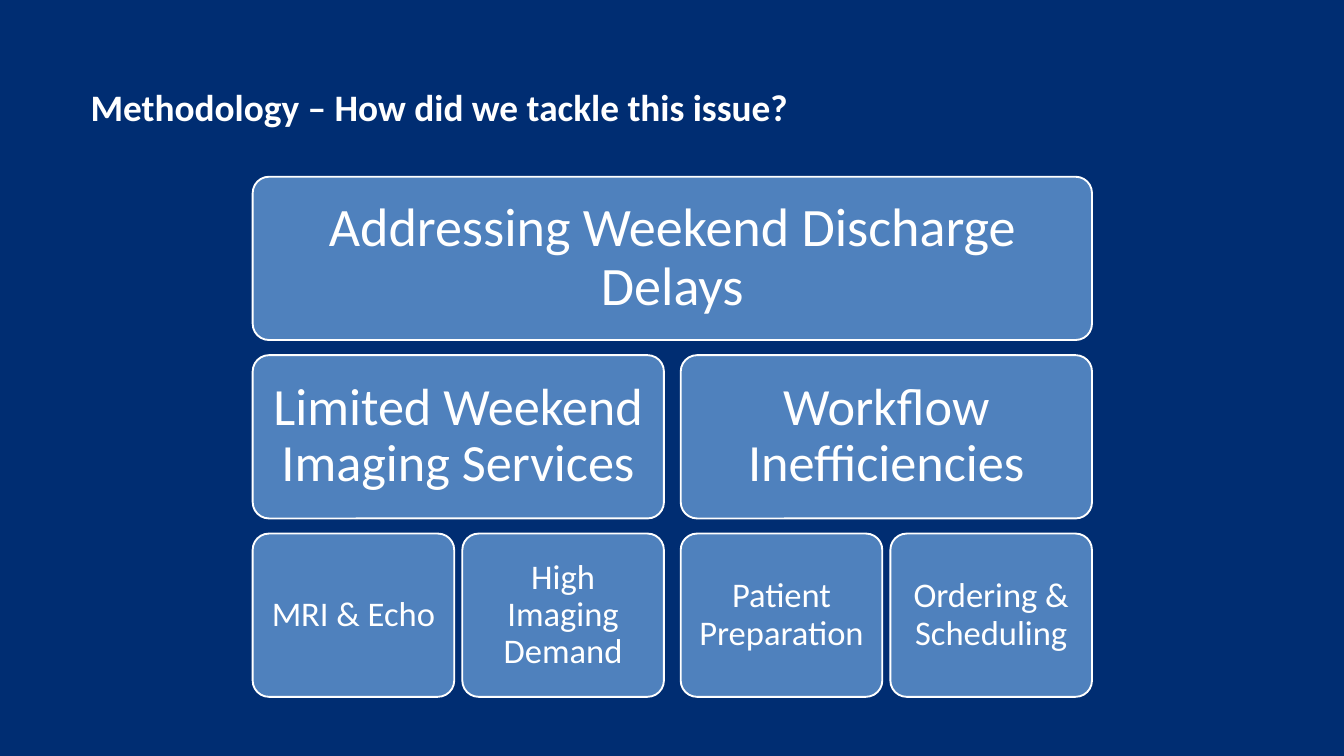
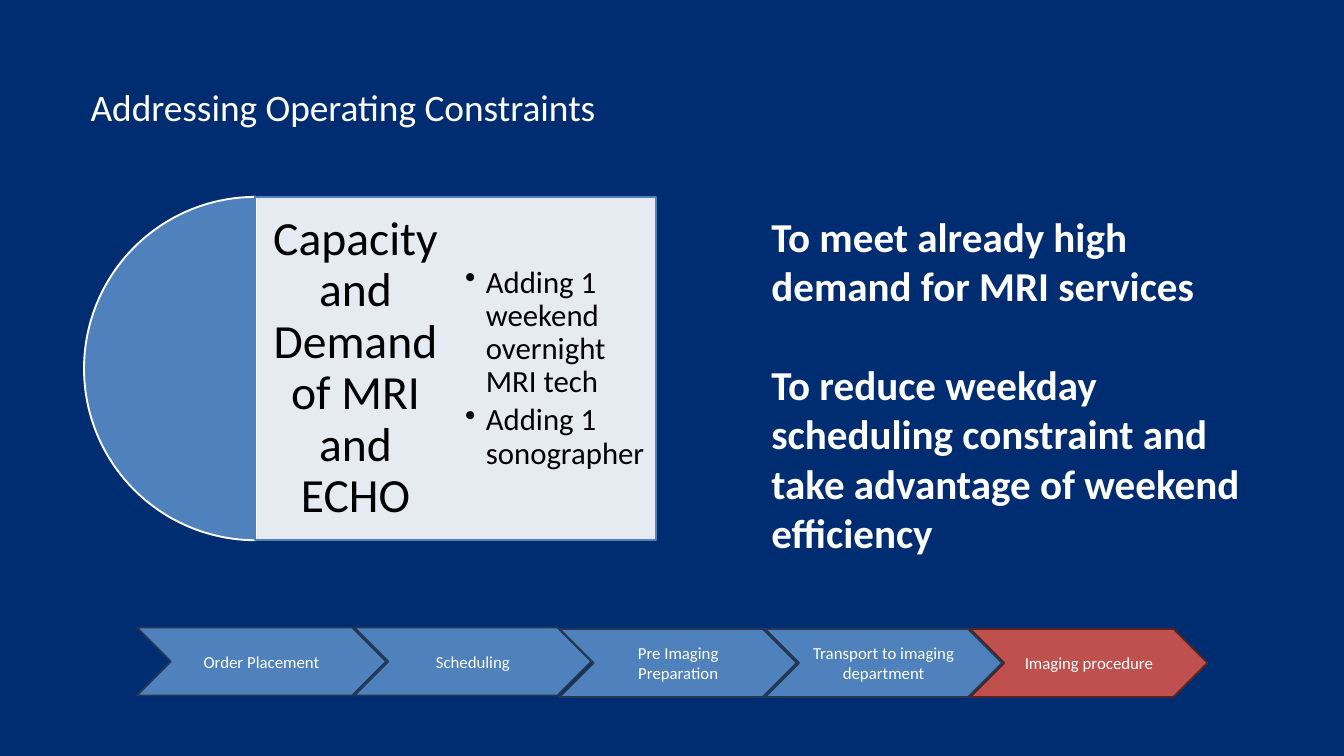
from lxml.etree import SubElement
from pptx import Presentation
from pptx.dml.color import RGBColor
from pptx.enum.shapes import MSO_SHAPE as SHAPE
from pptx.enum.text import MSO_ANCHOR as ANCHOR, PP_ALIGN as ALIGN
from pptx.oxml.ns import qn
from pptx.util import Inches, Pt

NAVY = RGBColor(0x00, 0x2D, 0x72)
BLUE = RGBColor(0x4F, 0x81, 0xBD)
DARK_BLUE = RGBColor(0x23, 0x39, 0x53)
RED = RGBColor(0xC0, 0x50, 0x4D)
DARK_RED = RGBColor(0x54, 0x23, 0x22)
WHITE = RGBColor(0xFF, 0xFF, 0xFF)
BLACK = RGBColor(0x00, 0x00, 0x00)

presentation = Presentation()
presentation.slide_width = Inches(20)
presentation.slide_height = Inches(11.25)

# The grid: 100 columns by 100 rows on each slide
COLUMN = presentation.slide_width / 100
ROW = presentation.slide_height / 100


def add_block(slide, kind, column, row, columns, rows, fill=None, line=None):
    """Place a preset shape, or a text box when kind is None, on the grid."""
    box = [int(column * COLUMN), int(row * ROW), int(columns * COLUMN), int(rows * ROW)]
    if kind is None:
        return slide.shapes.add_textbox(*box)
    shape = slide.shapes.add_shape(kind, *box)
    shape.shadow.inherit = False
    shape.fill.solid()
    shape.fill.fore_color.rgb = fill
    shape.line.color.rgb = line
    shape.line.width = Pt(2)
    return shape


def write(shape, texts, size, color=WHITE, bold=False, inset=None, anchor=ANCHOR.MIDDLE, **paragraph_format):
    """Fill a shape with one paragraph per text and return the paragraphs."""
    frame = shape.text_frame
    frame.word_wrap = True
    frame.vertical_anchor = anchor
    if inset is not None:
        for side in ("left", "top", "right", "bottom"):
            setattr(frame, f"margin_{side}", Inches(inset))
    for number, text in enumerate(texts):
        paragraph = frame.add_paragraph() if number else frame.paragraphs[0]
        for name, value in paragraph_format.items():
            setattr(paragraph, name, value)
        run = paragraph.add_run()
        run.text = text
        for name, value in {"name": "Calibri", "size": Pt(size), "bold": bold}.items():
            setattr(run.font, name, value)
        run.font.color.rgb = color
    return frame.paragraphs


# Background and title shared by both slides
slides = []
for title, bold in [
    ("Methodology – How did we tackle this issue?", True),
    ("Addressing Operating Constraints", False),
]:
    slide = presentation.slides.add_slide(presentation.slide_layouts[6])
    slide.background.fill.solid()
    slide.background.fill.fore_color.rgb = NAVY
    title_box = add_block(slide, None, 6.25, 10.76, 89.6, 6.84)
    write(title_box, [title], 40, bold=bold, anchor=ANCHOR.TOP)
    slides.append(slide)
methodology, constraints = slides

# Slide 1: issue tree, each level split evenly below the one above
TREE_LEFT, TREE_TOP = 18.8, 23.38
LEAF, LEAF_GAP, BRANCH_GAP = 15, 0.6, 1.25
LEVEL_HEIGHT, LEVEL_PITCH = 21.6, 23.6
branch = 2 * LEAF + LEAF_GAP
trunk = 2 * branch + BRANCH_GAP
branch_lefts = [TREE_LEFT, TREE_LEFT + branch + BRANCH_GAP]
leaf_lefts = [left + offset for left in branch_lefts for offset in (0, LEAF + LEAF_GAP)]
levels = [
    (["Addressing Weekend Discharge Delays"], [TREE_LEFT], trunk, 58, 0.24),
    (["Limited Weekend Imaging Services", "Workflow Inefficiencies"], branch_lefts, branch, 56, 0.23),
    (["MRI & Echo", "High Imaging Demand", "Patient Preparation", "Ordering & Scheduling"],
     leaf_lefts, LEAF, 37, 0.15),
]
for level, (labels, lefts, width, size, inset) in enumerate(levels):
    for label, left in zip(labels, lefts):
        card = add_block(methodology, SHAPE.ROUNDED_RECTANGLE, left, TREE_TOP + level * LEVEL_PITCH,
                         width, LEVEL_HEIGHT, BLUE, WHITE)
        card.adjustments[0] = 0.1
        write(card, [label], size, inset=inset, alignment=ALIGN.CENTER, line_spacing=0.9)

# Slide 2: process chevrons, drawn from the last step back to the first
STEP_WIDTH, STEP_PITCH, STEPS_RIGHT = 17.65, 15.28, 89.85
steps = ["Order Placement", "Scheduling", "Pre Imaging Preparation",
         "Transport to imaging department", "Imaging procedure"]
for number, step in reversed(list(enumerate(steps))):
    is_last = number == len(steps) - 1
    width = STEP_WIDTH if number else 18.55
    right = STEPS_RIGHT - (len(steps) - 1 - number) * STEP_PITCH
    chevron = add_block(constraints, SHAPE.CHEVRON, right - width, 83 if number < 2 else 83.2, width, 9,
                        RED if is_last else BLUE, DARK_RED if is_last else DARK_BLUE)
    write(chevron, [step], 18, alignment=ALIGN.CENTER)

# Reasons on the right
reasons_box = add_block(constraints, None, 56.9, 27.56, 36.75, 46.93)
reasons = write(reasons_box, [
    "To meet already high demand for MRI services",
    "To reduce weekday scheduling constraint and take advantage of weekend efficiency",
], 44, bold=True, anchor=ANCHOR.TOP)
reasons[1].space_before = Pt(53)

# Half disc and translucent panel
PANEL_LEFT, PANEL_TOP, PANEL_HEIGHT, HALF_PANEL = 19, 26.04, 45.42, 14.9
half_disc = add_block(constraints, SHAPE.PIE, 6.25, PANEL_TOP, 25.55, PANEL_HEIGHT, BLUE, WHITE)
half_disc.adjustments[0], half_disc.adjustments[1] = 54, 162
panel = add_block(constraints, SHAPE.RECTANGLE, PANEL_LEFT, PANEL_TOP, 2 * HALF_PANEL, PANEL_HEIGHT, WHITE, BLUE)
panel_color = panel._element.spPr.find(qn("a:solidFill"))[0]
SubElement(panel_color, qn("a:alpha"), val="90000")

# Panel heading and actions
heading_box = add_block(constraints, None, PANEL_LEFT, PANEL_TOP, HALF_PANEL, PANEL_HEIGHT)
write(heading_box, ["Capacity and Demand of MRI and ECHO"], 51, BLACK, inset=0.21,
      alignment=ALIGN.CENTER, line_spacing=0.9)
actions_box = add_block(constraints, None, PANEL_LEFT + HALF_PANEL, PANEL_TOP, HALF_PANEL, PANEL_HEIGHT)
actions = write(actions_box, ["Adding 1 weekend overnight MRI tech", "Adding 1 sonographer"], 33, BLACK,
                inset=0.14, line_spacing=0.9, space_after=Pt(5))
for action in actions:
    properties = action._p.get_or_add_pPr()
    properties.set("marL", str(Inches(0.31)))
    properties.set("indent", str(-Inches(0.31)))
    SubElement(properties, qn("a:buChar"), char="•")

presentation.save("out.pptx")
